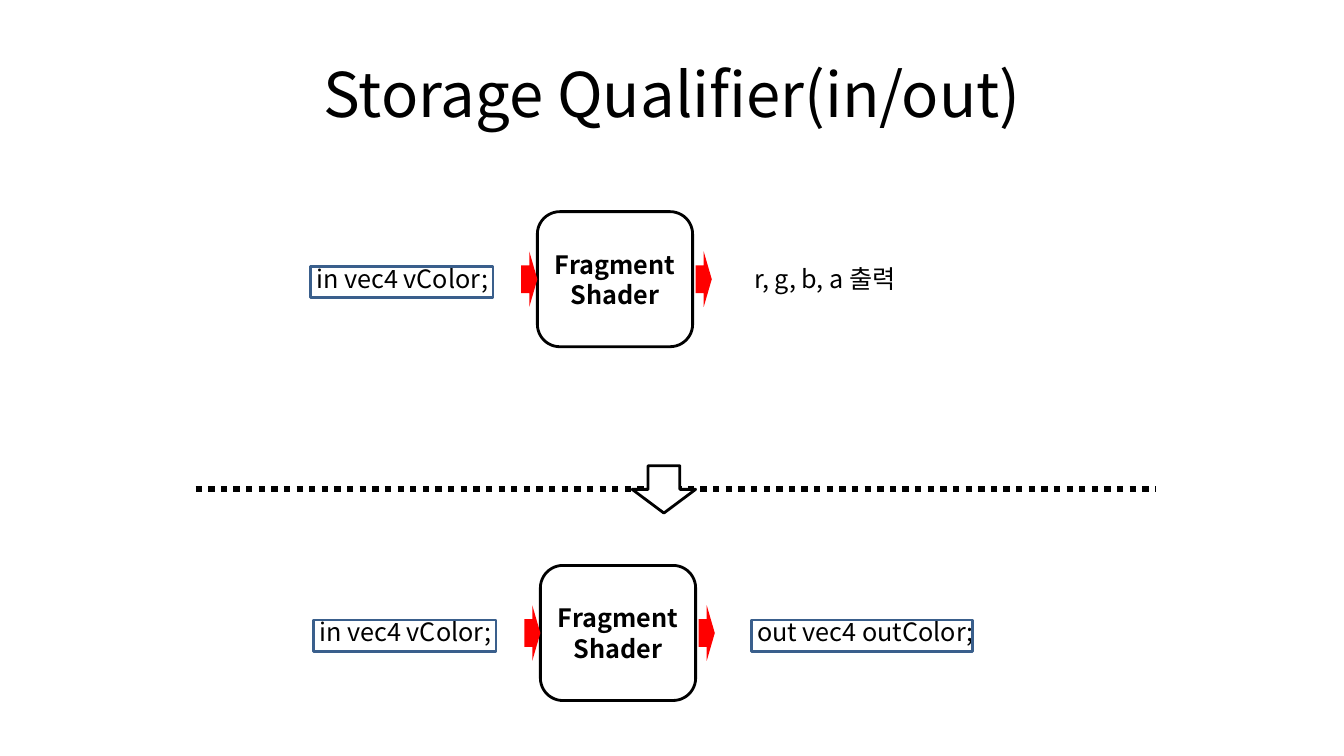
from lxml import etree
from pptx import Presentation
from pptx import util as u
from pptx.dml.color import RGBColor
from pptx.enum import dml, shapes, text
from pptx.oxml.ns import qn

FONT = "Noto Sans CJK KR"
COLORS = {"ink": "000000", "paper": "FFFFFF", "flow": "FF0000", "frame": "3A5F8C"}
TITLE = "Storage Qualifier(in/out)"
STAGE = "Fragment Shader"
PIPELINES = [
    {"left": 5.33, "top": 2.1, "input": "in vec4 vColor;",
     "output": "r, g, b, a 출력", "output_frame": 0},
    {"left": 5.36, "top": 5.61, "input": "in vec4 vColor;",
     "output": "out vec4 outColor;", "output_frame": 2.2},
]
STAGE_W, STAGE_H = 1.54, 1.34
ARROW_W, ARROW_H = 0.16, 0.55
LABEL_H, FRAME_H, INPUT_FRAME = 0.4, 0.31, 1.81
DIVIDER_Y = 4.85

prs = Presentation()
prs.slide_width, prs.slide_height = u.Inches(13.33), u.Inches(7.5)
s = prs.slides.add_slide(prs.slide_layouts[6])
KIND = shapes.MSO_SHAPE


def rgb(name):
    return RGBColor.from_string(COLORS[name])


def write(sp, content, size=18, bold=False, centred=False):
    tf = sp.text_frame
    tf.word_wrap = True
    tf.text = content
    p = tf.paragraphs[0]
    if centred:
        tf.vertical_anchor = text.MSO_ANCHOR.MIDDLE
        p.alignment = text.PP_ALIGN.CENTER
    font = p.runs[0].font
    font.size, font.bold, font.name = u.Pt(size), bold, FONT
    font.color.rgb = rgb("ink")
    etree.SubElement(p.runs[0]._r.get_or_add_rPr(), qn("a:ea"), typeface=FONT)


def add_text(box, content, **style):
    sp = s.shapes.add_textbox(*map(u.Inches, box))
    write(sp, content, **style)


def add_shape(kind, box, fill=None, line=None):
    sp = s.shapes.add_shape(kind, *map(u.Inches, box))
    sp.shadow.inherit = False
    if fill:
        sp.fill.solid()
        sp.fill.fore_color.rgb = rgb(fill)
    else:
        sp.fill.background()
    if line:
        sp.line.color.rgb = rgb(line)
        sp.line.width = u.Pt(2)
    else:
        sp.line.fill.background()
    return sp


def add_divider():
    line = s.shapes.add_connector(
        shapes.MSO_CONNECTOR.STRAIGHT,
        *map(u.Inches, (1.94, DIVIDER_Y, 11.47, DIVIDER_Y)))
    line.line.color.rgb = rgb("ink")
    line.line.width = u.Pt(4.5)
    line.line.dash_style = dml.MSO_LINE.ROUND_DOT
    etree.SubElement(line._element.spPr, qn("a:effectLst"))
    add_shape(KIND.DOWN_ARROW, (6.27, 4.62, 0.63, 0.47), "paper", "ink")


def add_pipeline(row):
    left, top = row["left"], row["top"]
    middle = top + STAGE_H / 2
    stage = add_shape(KIND.ROUNDED_RECTANGLE, (left, top, STAGE_W, STAGE_H), "paper", "ink")
    write(stage, STAGE, bold=True, centred=True)
    for x in (left + STAGE_W + 0.03, left - ARROW_W):
        add_shape(KIND.RIGHT_ARROW, (x, middle - ARROW_H / 2, ARROW_W, ARROW_H), "flow")
    labels = [(row["input"], left - 2.29, 2.13, INPUT_FRAME),
              (row["output"], left + 2.05, 3.01, row["output_frame"])]
    for content, x, width, frame in labels:
        add_text((x, middle - LABEL_H / 2 - 0.01, width, LABEL_H), content)
        if frame:
            add_shape(KIND.RECTANGLE, (x + 0.04, middle - 0.13, frame, FRAME_H), line="frame")


add_text((0.67, 0.3, 12, 1.25), TITLE, size=44, centred=True)
add_pipeline(PIPELINES[0])
add_divider()
add_pipeline(PIPELINES[1])
prs.save("out.pptx")
